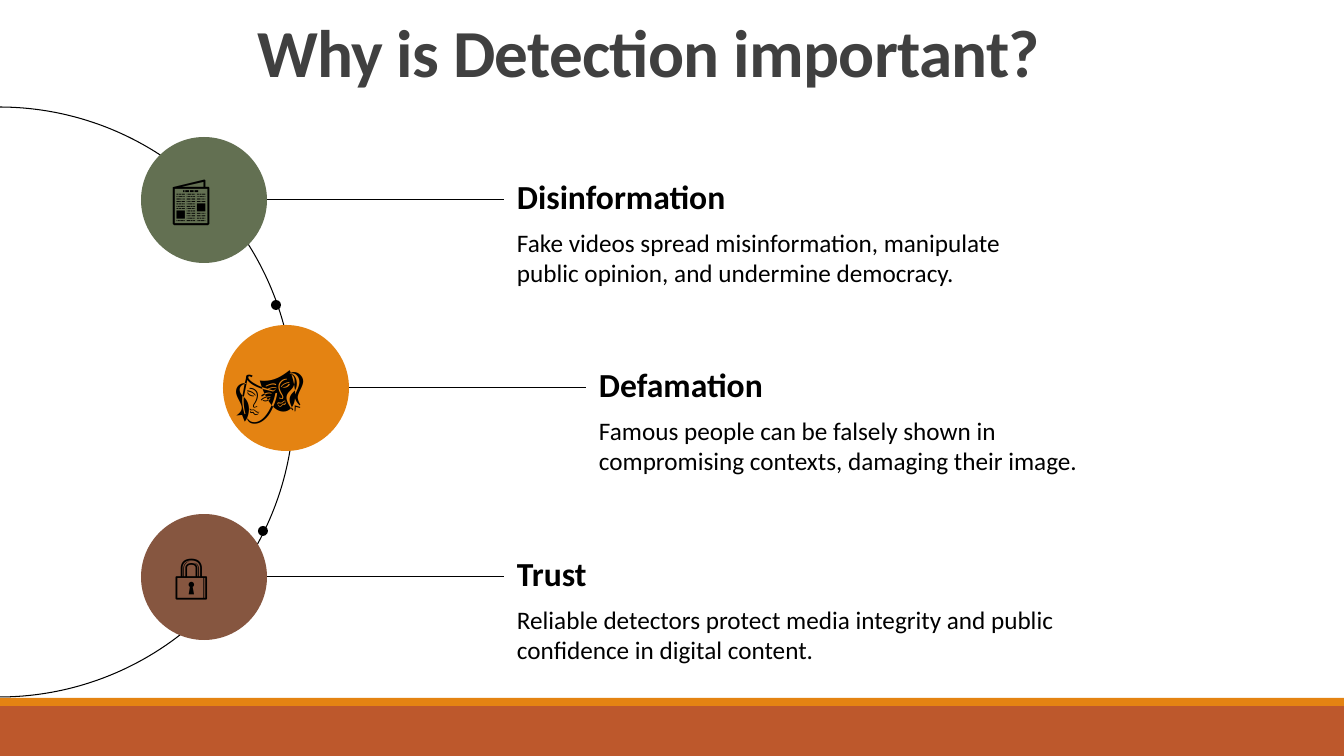
from dataclasses import dataclass

import pptx
import pptx.dml.color
import pptx.enum.shapes
import pptx.enum.text
import pptx.oxml.ns
import pptx.util
from lxml import etree
from pptx.shapes.autoshape import Shape
from pptx.slide import Slide

EMU_PER_PX = 914400 / 100.8
FONT = "Calibri"
COLORS = {
    "black": "000000",
    "title": "404040",
    "green": "637052",
    "orange": "E48312",
    "brown": "865640",
    "rust": "BD582C",
}
KINDS = pptx.enum.shapes.MSO_SHAPE
ANCHORS = pptx.enum.text.MSO_ANCHOR

DISC_SIZE = 126
LINE_LENGTH = 237
TEXT_INSET = 13


@dataclass(frozen=True)
class Box:
    left: int
    top: int
    width: int
    height: int


@dataclass(frozen=True)
class Topic:
    disc_left: int
    disc_top: int
    color: str
    heading: str
    body: str
    icon: str
    icon_size: int
    icon_box: Box


TOPICS = [
    Topic(141, 137, "green", "Disinformation",
          "Fake videos spread misinformation, manipulate public opinion, "
          "and undermine democracy.",
          "📰", 36, Box(161, 162, 78, 72)),
    Topic(223, 325, "orange", "Defamation",
          "Famous people can be falsely shown in compromising contexts, "
          "damaging their image.",
          "🎭", 48, Box(227, 344, 100, 93)),
    Topic(141, 514, "brown", "Trust",
          "Reliable detectors protect media integrity and public confidence "
          "in digital content.",
          "🔒", 32, Box(164, 543, 72, 65)),
]
FOOTER_BANDS = [(Box(0, 706, 1344, 50), "rust"), (Box(0, 698, 1344, 8), "orange")]
ARC_BOX = Box(-296, 107, 590, 590)
ARC_DOTS = [Box(271, 300, 10, 10), Box(258, 526, 10, 10)]


def px(length: int) -> pptx.util.Emu:
    return pptx.util.Emu(round(length * EMU_PER_PX))


def edges(box: Box) -> list[pptx.util.Emu]:
    return [px(length) for length in (box.left, box.top, box.width, box.height)]


def rgb(color: str) -> pptx.dml.color.RGBColor:
    return pptx.dml.color.RGBColor.from_string(COLORS[color])


def add_filled(page: Slide, kind: KINDS, box: Box, color: str) -> Shape:
    shape = page.shapes.add_shape(kind, *edges(box))
    shape.shadow.inherit = False
    shape.fill.solid()
    shape.fill.fore_color.rgb = rgb(color)
    shape.line.fill.background()
    return shape


def add_text(page: Slide, box: Box, text: str, size: int, color: str = "black",
             bold: bool = False, inset: int | None = None,
             anchor: ANCHORS = ANCHORS.TOP) -> Shape:
    shape = page.shapes.add_textbox(*edges(box))
    frame = shape.text_frame
    frame.word_wrap = True
    frame.vertical_anchor = anchor
    if inset is not None:
        frame.margin_left = frame.margin_right = px(inset)
        frame.margin_top = frame.margin_bottom = px(inset)
    para = frame.paragraphs[0]
    para.text = text
    para.font.name = FONT
    para.font.size = pptx.util.Pt(size)
    para.font.bold = bold
    para.font.color.rgb = rgb(color)
    return shape


def add_title(page: Slide) -> None:
    title = add_text(page, Box(43, 10, 1211, 83), "Why is Detection important?",
                     48, "title", bold=True, inset=TEXT_INSET)
    para = title.text_frame.paragraphs[0]
    para.alignment = pptx.enum.text.PP_ALIGN.CENTER
    para.line_spacing = 0.85
    para.runs[0].font._element.set("spc", "-50")


def add_arc(page: Slide) -> None:
    """Draw the right half circle that the topic discs sit on."""
    arc = page.shapes.add_shape(KINDS.ARC, *edges(ARC_BOX))
    arc.shadow.inherit = False
    arc.adjustments[0] = 162
    arc.adjustments[1] = 54
    arc.fill.background()
    arc.line.color.rgb = rgb("black")
    arc.line.width = pptx.util.Pt(0.75)
    for dot in ARC_DOTS:
        add_filled(page, KINDS.OVAL, dot, "black")


def join(page: Slide, disc: Shape, heading: Shape) -> None:
    """Connect the right side of a disc with the left side of its heading."""
    middle = disc.top + disc.height // 2
    line = page.shapes.add_connector(
        pptx.enum.shapes.MSO_CONNECTOR.STRAIGHT,
        disc.left + disc.width, middle, heading.left, middle)
    line.end_connect(heading, 1)
    line.line.color.rgb = rgb("black")
    line.line.width = pptx.util.Pt(0.75)
    etree.SubElement(line._element.spPr, pptx.oxml.ns.qn("a:effectLst"))


def add_topic(page: Slide, topic: Topic) -> None:
    disc = add_filled(page, KINDS.OVAL,
                      Box(topic.disc_left, topic.disc_top, DISC_SIZE, DISC_SIZE),
                      topic.color)
    text_left = topic.disc_left + DISC_SIZE + LINE_LENGTH
    middle = topic.disc_top + DISC_SIZE // 2
    heading = add_text(page, Box(text_left, middle - 29, 289, 58), topic.heading,
                       24, bold=True, inset=TEXT_INSET, anchor=ANCHORS.BOTTOM)
    add_text(page, Box(text_left, middle + 14, 571, 76), topic.body, 18,
             inset=TEXT_INSET)
    join(page, disc, heading)
    add_text(page, topic.icon_box, topic.icon, topic.icon_size)


def main() -> None:
    deck = pptx.Presentation()
    deck.slide_width = px(1344)
    deck.slide_height = px(756)
    page = deck.slides.add_slide(deck.slide_layouts[6])
    for band, color in FOOTER_BANDS:
        add_filled(page, KINDS.RECTANGLE, band, color)
    add_arc(page)
    add_title(page)
    for topic in TOPICS:
        add_topic(page, topic)
    deck.save("out.pptx")


if __name__ == "__main__":
    main()
